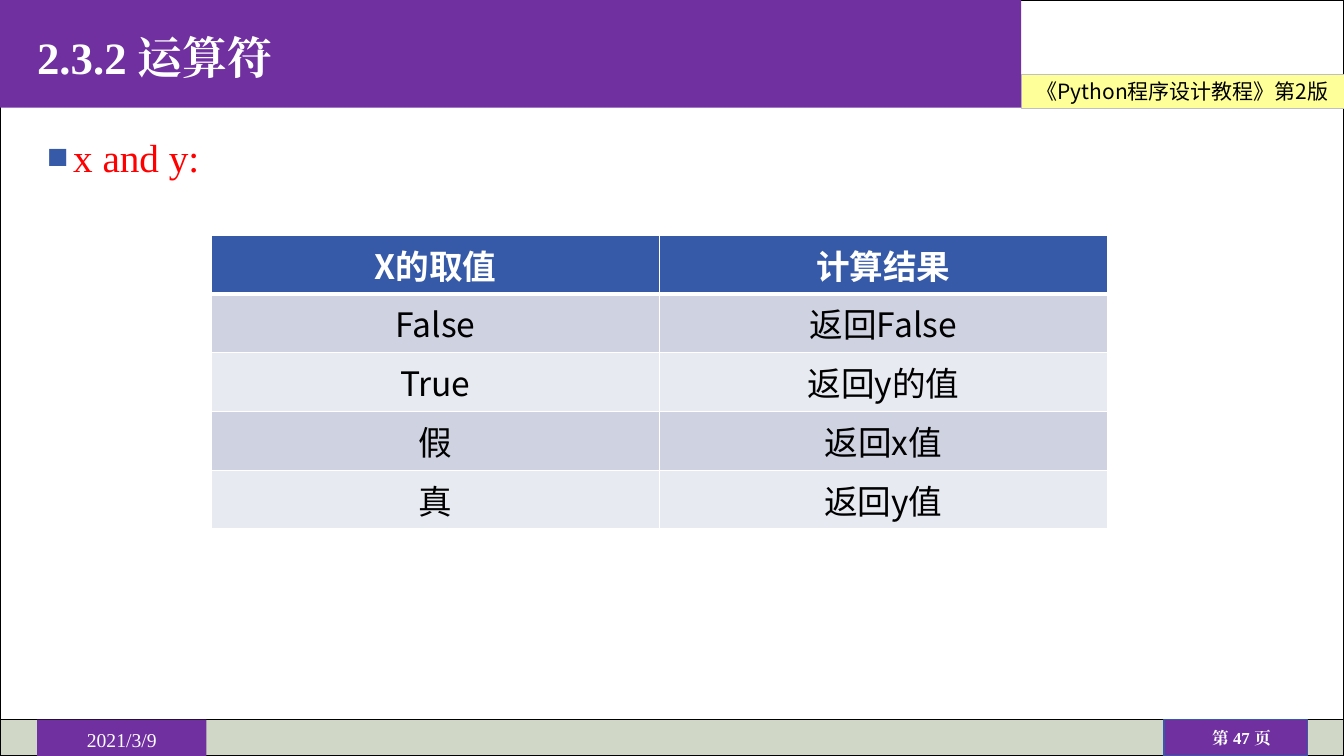
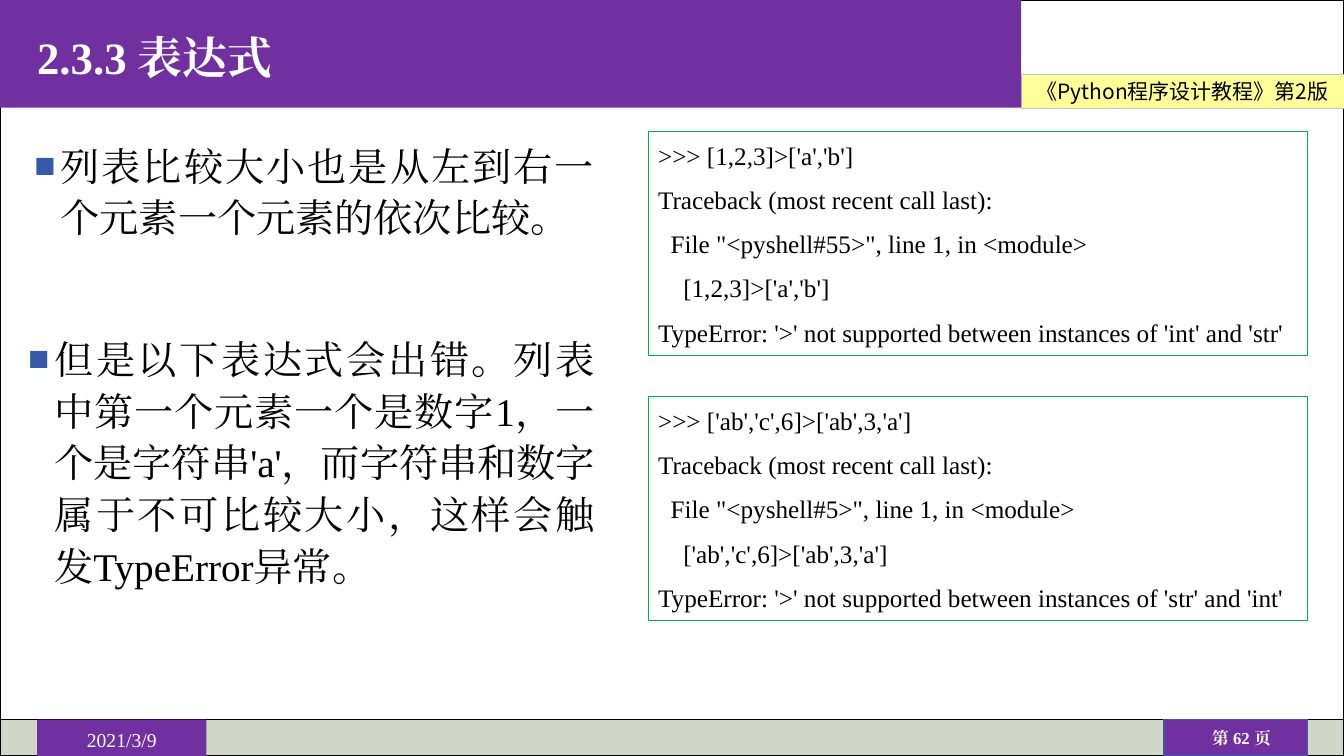
"""Build two lesson slides on Python operators and expressions."""
from dataclasses import dataclass

import lxml.etree
import pptx
import pptx.dml.color
import pptx.enum.shapes
import pptx.enum.text
import pptx.oxml.ns
import pptx.util

Pt = pptx.util.Pt
RGBColor = pptx.dml.color.RGBColor
Align = pptx.enum.text.PP_ALIGN
Anchor = pptx.enum.text.MSO_ANCHOR

BLACK = RGBColor(0x00, 0x00, 0x00)
WHITE = RGBColor(0xFF, 0xFF, 0xFF)
RED = RGBColor(0xFF, 0x00, 0x00)
PURPLE = RGBColor(0x70, 0x30, 0xA0)
BLUE = RGBColor(0x36, 0x5A, 0xA8)
GREEN = RGBColor(0x00, 0xB0, 0x50)
SAGE = RGBColor(0xD1, 0xD7, 0xC7)
YELLOW = RGBColor(0xFF, 0xFF, 0x99)
SILVER = RGBColor(0xC0, 0xC0, 0xC0)
ROW_FILLS = (RGBColor(0xCE, 0xD2, 0xE1), RGBColor(0xE8, 0xEA, 0xF1))

SERIF = "Times New Roman"
SANS = "Noto Sans CJK SC"
SLIDE_W, SLIDE_H = 960, 540
HEADER_W, HEADER_H = 729.5, 77
FOOTER_H = 26
FOOTER_TOP = SLIDE_H - FOOTER_H
MARGIN = 26.5


@dataclass(frozen=True)
class Box:
    """Position and size in points."""
    left: float
    top: float
    width: float
    height: float

    def lengths(self) -> tuple:
        """Return the four values as lengths."""
        return Pt(self.left), Pt(self.top), Pt(self.width), Pt(self.height)


@dataclass(frozen=True)
class Style:
    """Look of the text in one box."""
    size: float
    color: RGBColor = BLACK
    font: str = SERIF
    bold: bool = False
    align: Align = Align.LEFT
    anchor: Anchor = Anchor.TOP
    insets: tuple = (7.2, 3.6, 7.2, 3.6)
    line_spacing: float = 1.0
    gap: float = 0
    wrap: bool = True
    bullet: bool = False


@dataclass(frozen=True)
class Panel:
    """A rectangle with an optional fill and outline."""
    box: Box
    fill: RGBColor | None = None
    line: RGBColor | None = None
    line_width: float = 1


@dataclass(frozen=True)
class BulletPoint:
    """A bulleted statement."""
    box: Box
    text: str
    color: RGBColor = BLACK
    align: Align = Align.JUSTIFY


@dataclass(frozen=True)
class Session:
    """Output of an interactive session."""
    top: float
    lines: tuple


TITLE = Style(32, WHITE, bold=True, anchor=Anchor.MIDDLE, insets=(0, 0, 0, 0), line_spacing=1.1)
BOOK = Style(15, font=SANS, align=Align.CENTER, anchor=Anchor.MIDDLE,
             insets=(3.6, 3, 3.6, 3), wrap=False)
PAGE = Style(12, WHITE, bold=True, align=Align.CENTER, insets=(4, 1, 4, 1))
DATE = Style(14, WHITE, align=Align.CENTER, insets=(3.6, 6, 3.6, 0))
CODE = Style(18, gap=10, insets=(7.2, 6, 7.2, 3.6))
HEAD_CELL = Style(24, WHITE, SANS, True, Align.CENTER)
BODY_CELL = Style(24, font=SANS, align=Align.CENTER)

AND_RESULTS = (
    ("X的取值", "计算结果"),
    ("False", "返回False"),
    ("True", "返回y的值"),
    ("假", "返回x值"),
    ("真", "返回y值"),
)
AND_RULE = BulletPoint(Box(MARGIN, 88.5, 907, 51), "x and y:", RED, Align.LEFT)
LIST_RULES = (
    BulletPoint(Box(17.5, 94.5, 414, 108), "列表比较大小也是从左到右一个元素一个元素的依次比较。"),
    BulletPoint(
        Box(13, 232.5, 419, 211),
        "但是以下表达式会出错。列表中第一个元素一个是数字1，一个是字符串'a'，"
        "而字符串和数字属于不可比较大小，这样会触发TypeError异常。"),
)
SESSIONS = (
    Session(94, (
        ">>> [1,2,3]>['a','b']",
        "Traceback (most recent call last):",
        "  File \"<pyshell#55>\", line 1, in <module>",
        "    [1,2,3]>['a','b']",
        "TypeError: '>' not supported between instances of 'int' and 'str'")),
    Session(283.5, (
        ">>> ['ab','c',6]>['ab',3,'a']",
        "Traceback (most recent call last):",
        "  File \"<pyshell#5>\", line 1, in <module>",
        "    ['ab','c',6]>['ab',3,'a']",
        "TypeError: '>' not supported between instances of 'str' and 'int'")),
)


def add_xml(parent, tag: str, **attributes: str):
    """Append a drawing element to its parent."""
    return lxml.etree.SubElement(parent, pptx.oxml.ns.qn(tag), attributes)


def add_bullet(paragraph) -> None:
    """Give a paragraph a square blue bullet and a hanging indent."""
    properties = paragraph._p.get_or_add_pPr()
    properties.set("marL", str(Pt(18.7)))
    properties.set("indent", str(-Pt(18.7)))
    add_xml(add_xml(properties, "a:buClr"), "a:srgbClr", val=str(BLUE))
    add_xml(properties, "a:buSzPct", val="90000")
    add_xml(properties, "a:buFont", typeface=SERIF)
    add_xml(properties, "a:buChar", char="■")


def write(frame, lines: tuple, style: Style) -> None:
    """Write one styled paragraph per line."""
    for index, line in enumerate(lines):
        paragraph = frame.add_paragraph() if index else frame.paragraphs[0]
        paragraph.text = line
        paragraph.alignment = style.align
        paragraph.line_spacing = style.line_spacing
        if index:
            paragraph.space_before = Pt(style.gap)
        if style.bullet:
            add_bullet(paragraph)
        font = paragraph.font
        font.size = Pt(style.size)
        font.bold = style.bold
        font.color.rgb = style.color
        font.name = style.font
        add_xml(font._element, "a:ea", typeface=style.font)


def fill_frame(frame, lines: tuple, style: Style) -> None:
    """Set up a text frame and write into it."""
    frame.word_wrap = style.wrap
    frame.vertical_anchor = style.anchor
    (frame.margin_left, frame.margin_top,
     frame.margin_right, frame.margin_bottom) = map(Pt, style.insets)
    write(frame, lines, style)


def add_panel(slide, panel: Panel):
    """Draw a rectangle."""
    shape = slide.shapes.add_shape(
        pptx.enum.shapes.MSO_SHAPE.RECTANGLE, *panel.box.lengths())
    shape.shadow.inherit = False
    if panel.fill is None:
        shape.fill.background()
    else:
        shape.fill.solid()
        shape.fill.fore_color.rgb = panel.fill
    if panel.line is None:
        shape.line.fill.background()
    else:
        shape.line.color.rgb = panel.line
        shape.line.width = Pt(panel.line_width)
    return shape


def add_text(slide, box: Box, text: str, style: Style) -> None:
    """Draw a text box with one paragraph."""
    fill_frame(slide.shapes.add_textbox(*box.lengths()).text_frame, (text,), style)


def add_page(deck, title: str, number: int):
    """Add a slide with the shared header and footer."""
    slide = deck.slides.add_slide(deck.slide_layouts[6])
    add_panel(slide, Panel(Box(0, 0, SLIDE_W, SLIDE_H), line=BLACK))
    add_panel(slide, Panel(Box(0, FOOTER_TOP, SLIDE_W, FOOTER_H), SAGE, BLACK))
    book = add_panel(slide, Panel(
        Box(HEADER_W, 53, SLIDE_W - HEADER_W, HEADER_H - 53 + 0.5), YELLOW, SILVER, 0.5))
    fill_frame(book.text_frame, ("《Python程序设计教程》第2版",), BOOK)
    add_panel(slide, Panel(Box(0, 0, HEADER_W, HEADER_H), PURPLE))
    add_panel(slide, Panel(Box(831.5, FOOTER_TOP, 102.5, FOOTER_H), PURPLE, BLUE))
    add_text(slide, Box(839.5, 519, 94.5, 16), f"第 {number} 页", PAGE)
    date = add_panel(slide, Panel(Box(MARGIN, FOOTER_TOP, 121, FOOTER_H), PURPLE))
    fill_frame(date.text_frame, ("2021/3/9",), DATE)
    add_text(slide, Box(MARGIN, 0, HEADER_W - MARGIN, HEADER_H), title, TITLE)
    return slide


def add_bullet_point(slide, point: BulletPoint) -> None:
    """Draw a bulleted statement."""
    add_text(slide, point.box, point.text, Style(
        28, point.color, align=point.align, line_spacing=1.1, bullet=True))


def add_session(slide, session: Session) -> None:
    """Draw the output of a session in a green frame."""
    frame = add_panel(slide, Panel(Box(463, session.top, 471, 160), line=GREEN, line_width=0.75))
    fill_frame(frame.text_frame, session.lines, CODE)


def set_borders(cell, widths: dict) -> None:
    """Give a cell white borders of the given widths."""
    properties = cell._tc.get_or_add_tcPr()
    for side, width in widths.items():
        border = add_xml(properties, f"a:ln{side}", w=str(Pt(width)))
        add_xml(add_xml(border, "a:solidFill"), "a:srgbClr", val=str(WHITE))


def add_results(slide, box: Box, rows: tuple) -> None:
    """Draw the table of results."""
    table = slide.shapes.add_table(len(rows), len(rows[0]), *box.lengths()).table
    for row_index, texts in enumerate(rows):
        table.rows[row_index].height = Pt(box.height / len(rows))
        is_head = row_index == 0
        for column_index, text in enumerate(texts):
            cell = table.cell(row_index, column_index)
            set_borders(cell, {"L": 1, "R": 1, "T": 3 if row_index == 1 else 1,
                               "B": 3 if is_head else 1})
            cell.fill.solid()
            cell.fill.fore_color.rgb = BLUE if is_head else ROW_FILLS[(row_index - 1) % 2]
            cell.vertical_anchor = Anchor.MIDDLE
            write(cell.text_frame, (text,), HEAD_CELL if is_head else BODY_CELL)


def main() -> None:
    """Build and save the slides."""
    deck = pptx.Presentation()
    deck.slide_width, deck.slide_height = Pt(SLIDE_W), Pt(SLIDE_H)

    operators = add_page(deck, "2.3.2 运算符", 47)
    add_bullet_point(operators, AND_RULE)
    add_results(operators, Box(151, 168, 640, 210), AND_RESULTS)

    expressions = add_page(deck, "2.3.3 表达式", 62)
    for rule in LIST_RULES:
        add_bullet_point(expressions, rule)
    for session in SESSIONS:
        add_session(expressions, session)

    deck.save("out.pptx")


if __name__ == "__main__":
    main()
